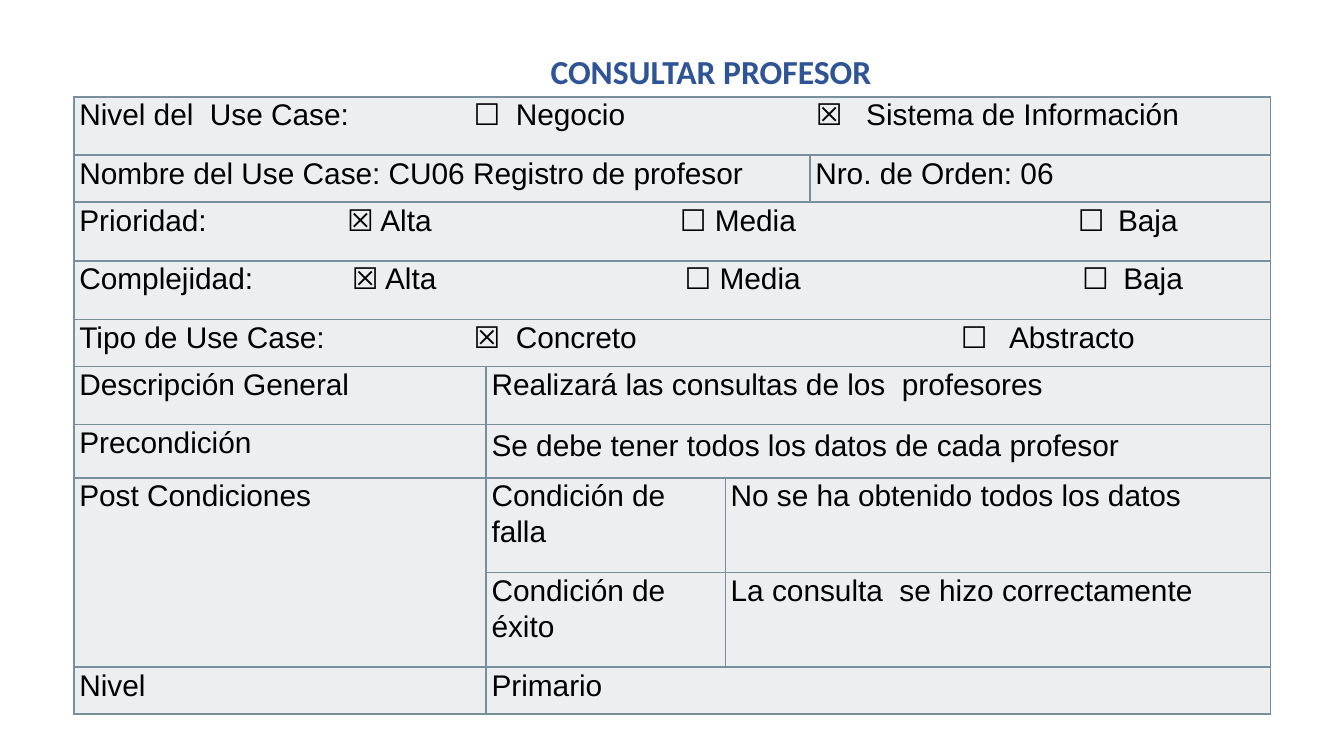
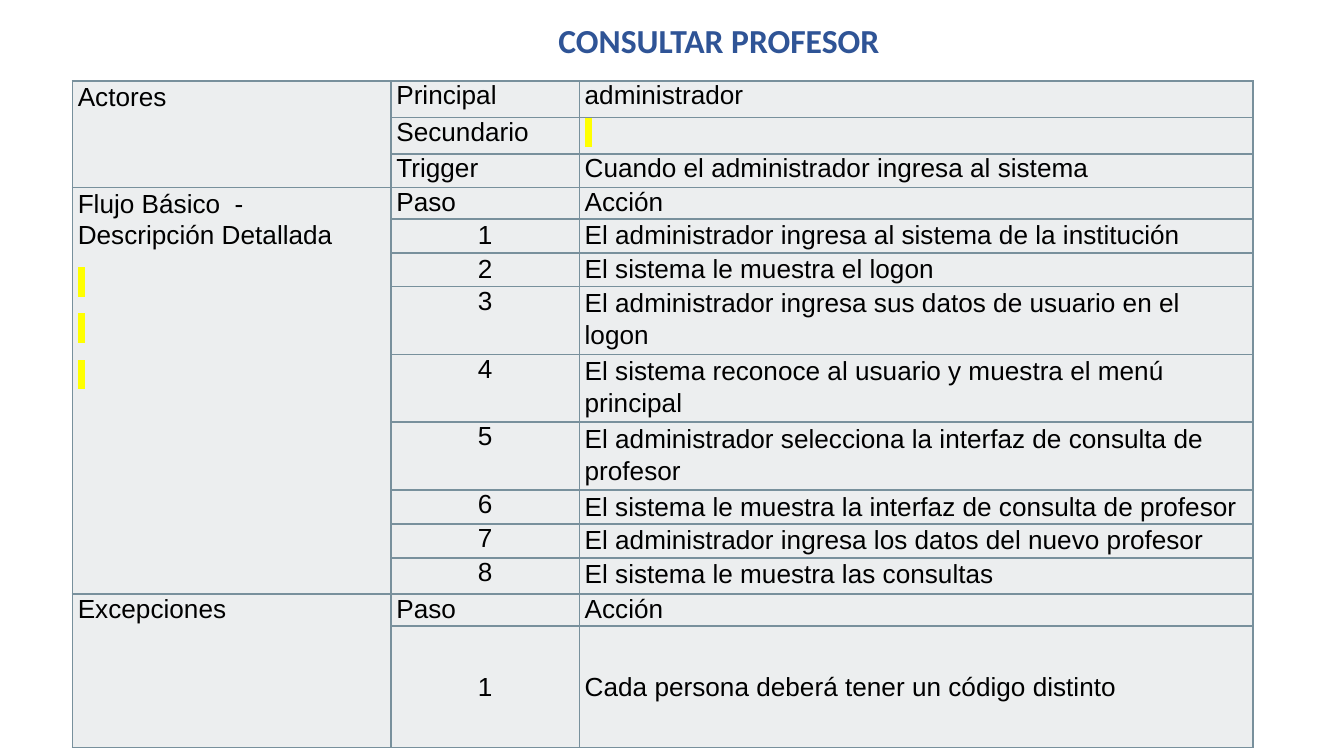
from typing import NamedTuple

from lxml.etree import SubElement
from pptx import Presentation
from pptx.dml.color import RGBColor
from pptx.enum.text import MSO_ANCHOR as Anchor, MSO_AUTO_SIZE as AutoSize, PP_ALIGN as Align
from pptx.oxml.ns import qn
from pptx.util import Cm, Pt

COLORS = {
    "heading": "2F5496",
    "text": "000000",
    "cell": "ECEEEF",
    "border": "78909C",
    "marker": "FFFF00",
}
HEADING = "CONSULTAR PROFESOR"
HEADING_SIZE = (6.76, 1.04)
MARK = " "
TITLE_ONLY = 5


class Entry(NamedTuple):
    """Content of one cell with its place, span and format."""

    row: int
    col: int
    text: str
    rows: int = 1
    cols: int = 1
    spacing: float = 1.07
    align: Align = Align.LEFT
    anchor: Anchor = Anchor.TOP
    stops: tuple = ()


def rgb(name):
    """Return a palette colour."""
    return RGBColor.from_string(COLORS[name])


def style_run(run, font, size, color, bold=False):
    """Give a run its font, size, weight and colour."""
    run.font.name = font
    run.font.size = Pt(size)
    run.font.bold = bold
    run.font.color.rgb = rgb(color)


def highlight(run):
    """Mark a run with the marker colour."""
    props = run.font._element
    mark = SubElement(props, qn("a:highlight"))
    SubElement(mark, qn("a:srgbClr"), val=COLORS["marker"])
    props.find(qn("a:solidFill")).addnext(mark)


def add_stops(paragraph, stops):
    """Set left tab stops at the given distances in centimetres."""
    tab_list = SubElement(paragraph._p.get_or_add_pPr(), qn("a:tabLst"))
    for stop in stops:
        SubElement(tab_list, qn("a:tab"), pos=str(int(Cm(stop))), algn="l")


def frame_cell(cell):
    """Give a cell its borders, fill and margins."""
    props = cell._tc.get_or_add_tcPr()
    for side in ("lnL", "lnR", "lnT", "lnB"):
        line = SubElement(props, qn(f"a:{side}"), w=str(int(Pt(1))))
        fill = SubElement(line, qn("a:solidFill"))
        SubElement(fill, qn("a:srgbClr"), val=COLORS["border"])
    cell.fill.solid()
    cell.fill.fore_color.rgb = rgb("cell")
    cell.margin_left = cell.margin_right = Cm(0.1)
    cell.margin_top = cell.margin_bottom = 0


def fill_cell(cell, entry, size):
    """Write an entry into its cell."""
    cell.text_frame.text = entry.text
    cell.vertical_anchor = entry.anchor
    for paragraph in cell.text_frame.paragraphs:
        paragraph.alignment = entry.align
        paragraph.line_spacing = entry.spacing
        paragraph.space_after = Pt(8)
        if entry.stops:
            add_stops(paragraph, entry.stops)
        for run in paragraph.runs:
            style_run(run, "Arial", size, "text")
            if run.text == MARK:
                highlight(run)


def add_grid(slide, left, top, widths, heights, entries, size):
    """Add a bordered table and place the entries in it."""
    grid = slide.shapes.add_table(
        len(heights), len(widths), Cm(left), Cm(top), Cm(sum(widths)), Cm(sum(heights))
    ).table
    grid.first_row = grid.horz_banding = False
    for column, width in zip(grid.columns, widths):
        column.width = Cm(width)
    for row, height in zip(grid.rows, heights):
        row.height = Cm(height)
    for cell in grid.iter_cells():
        frame_cell(cell)
    for entry in entries:
        cell = grid.cell(entry.row, entry.col)
        if entry.rows * entry.cols > 1:
            cell.merge(grid.cell(entry.row + entry.rows - 1, entry.col + entry.cols - 1))
        fill_cell(cell, entry, size)


def add_headed_slide(deck, left, top):
    """Add a slide with the shared heading at the given place."""
    slide = deck.slides.add_slide(deck.slide_layouts[TITLE_ONLY])
    heading = slide.shapes.title
    heading.left, heading.top = Cm(left), Cm(top)
    heading.width, heading.height = map(Cm, HEADING_SIZE)
    frame = heading.text_frame
    frame.text = HEADING
    frame.word_wrap = False
    frame.auto_size = AutoSize.SHAPE_TO_FIT_TEXT
    frame.vertical_anchor = Anchor.TOP
    paragraph = frame.paragraphs[0]
    paragraph.alignment = Align.LEFT
    paragraph.line_spacing = 1.07
    paragraph.space_before = Pt(2)
    style_run(paragraph.runs[0], "Calibri", 18, "heading", bold=True)
    return slide


def add_summary(slide, left, top):
    """Place the use case summary."""
    entries = [
        Entry(0, 0, "Nivel del  Use Case:\t☐\tNegocio\t☒\tSistema de Información",
              cols=4, stops=(7.45, 8.25, 13.92, 14.87)),
        Entry(1, 0, "Nombre del Use Case: CU06 Registro de profesor", cols=3),
        Entry(1, 3, "Nro. de Orden: 06"),
        Entry(2, 0, "Prioridad:\t☒ Alta\t☐ Media\t☐\tBaja",
              cols=4, stops=(5.06, 11.35, 18.87, 19.63)),
        Entry(3, 0, "Complejidad:\t☒ Alta\t☐ Media\t☐\tBaja",
              cols=4, stops=(5.15, 11.44, 18.95, 19.73)),
        Entry(4, 0, "Tipo de Use Case:\t☒\tConcreto\t☐\tAbstracto",
              cols=4, stops=(7.45, 8.25, 16.66, 17.57)),
        Entry(5, 0, "Descripción General"),
        Entry(5, 1, "Realizará las consultas de los  profesores", cols=3),
        Entry(6, 0, "Precondición"),
        Entry(6, 1, "Se debe tener todos los datos de cada profesor", cols=3, spacing=1.15),
        Entry(7, 0, "Post Condiciones", rows=2),
        Entry(7, 1, "Condición de falla"),
        Entry(7, 2, "No se ha obtenido todos los datos", cols=2),
        Entry(8, 1, "Condición de éxito"),
        Entry(8, 2, "La consulta  se hizo correctamente", cols=2),
        Entry(9, 0, "Nivel"),
        Entry(9, 1, "Primario", cols=3),
    ]
    widths = (7.79, 4.52, 1.6, 8.7)
    heights = (1.1, 0.89, 1.11, 1.11, 0.89, 1.09, 1.01, 1.79, 1.79, 0.89)
    add_grid(slide, left, top, widths, heights, entries, 16)


def add_flow(slide, left, top):
    """Place the actors, the basic flow and the exceptions."""
    actors = (
        ("Principal", "administrador"),
        ("Secundario", MARK),
        ("Trigger", "Cuando el administrador ingresa al sistema"),
    )
    actions = (
        "El administrador ingresa al sistema de la institución",
        "El sistema le muestra el logon",
        "El administrador ingresa sus datos de usuario en el logon",
        "El sistema reconoce al usuario y muestra el menú principal",
        "El administrador selecciona la interfaz de consulta de profesor",
        "El sistema le muestra la interfaz de consulta de profesor",
        "El administrador ingresa los datos del nuevo profesor",
        "El sistema le muestra las consultas",
    )
    flow_row = len(actors)
    exception_row = flow_row + 1 + len(actions)
    flow_label = "\n".join(["Flujo Básico  - Descripción Detallada"] + [MARK] * 3)
    entries = [
        Entry(0, 0, "Actores", rows=flow_row),
        Entry(flow_row, 0, flow_label, rows=1 + len(actions)),
        Entry(exception_row, 0, "Excepciones", rows=2, spacing=1.0),
        Entry(exception_row + 1, 1, "1", align=Align.CENTER, anchor=Anchor.MIDDLE),
        Entry(exception_row + 1, 2, "Cada persona deberá tener un código distinto",
              anchor=Anchor.MIDDLE),
    ]
    for row, (role, detail) in enumerate(actors):
        entries += [Entry(row, 1, role, spacing=1.0), Entry(row, 2, detail, spacing=1.0)]
    for row in (flow_row, exception_row):
        entries += [Entry(row, 1, "Paso", spacing=1.0), Entry(row, 2, "Acción", spacing=1.0)]
    for step, action in enumerate(actions, 1):
        anchor = Anchor.MIDDLE if step <= 2 else Anchor.TOP
        entries += [
            Entry(flow_row + step, 1, str(step), spacing=1.0, align=Align.CENTER, anchor=anchor),
            Entry(flow_row + step, 2, action, spacing=1.08),
        ]
    widths = (6.02, 3.56, 12.73)
    heights = (0.69, 0.69, 0.6, 0.59, 0.64, 0.64, 1.27, 1.27, 1.27, 0.64, 0.64, 0.69, 0.6, 2.3)
    add_grid(slide, left, top, widths, heights, entries, 14)


def main():
    """Build and save the deck."""
    deck = Presentation()
    deck.slide_width, deck.slide_height = Cm(25.4), Cm(14.29)
    add_summary(add_headed_slide(deck, 10.15, 0.79), 1.4, 1.83)
    add_flow(add_headed_slide(deck, 10.3, 0.2), 1.37, 1.53)
    deck.save("out.pptx")


if __name__ == "__main__":
    main()
